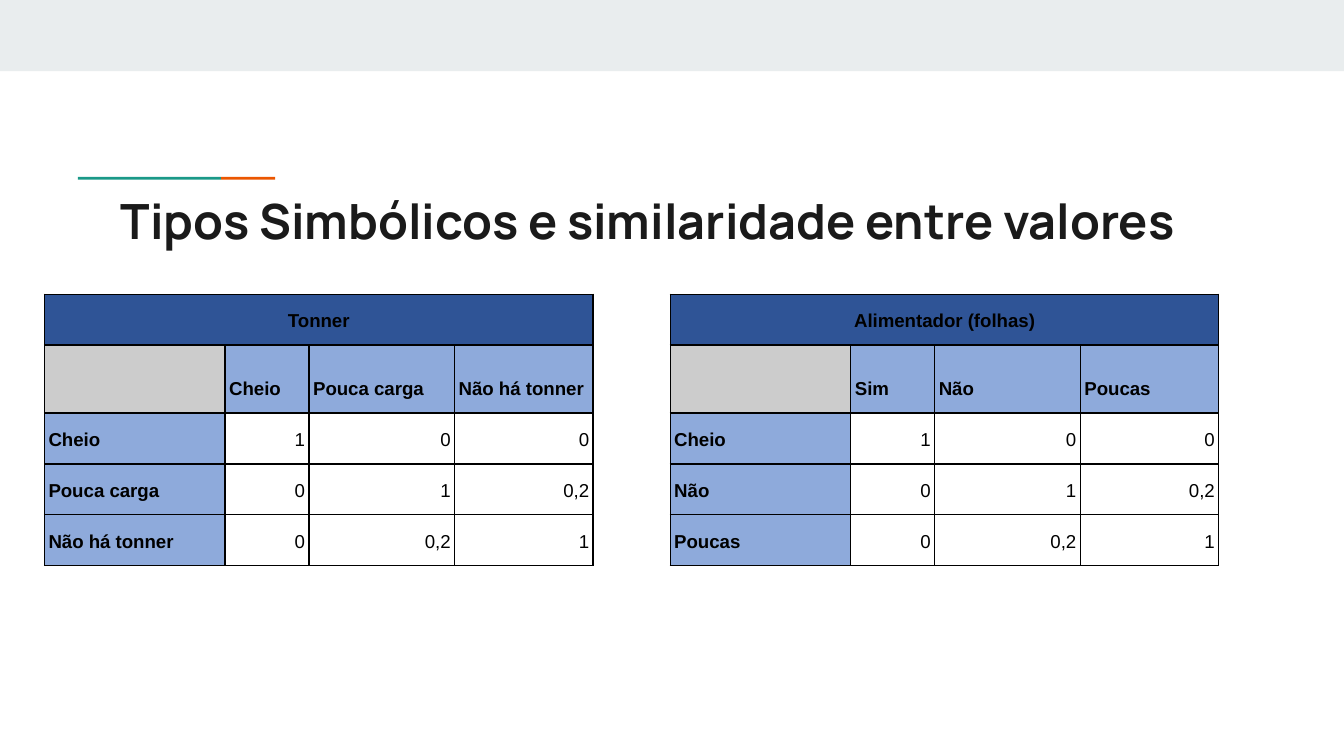
"""Build a slide with two tables of similarity between symbolic values."""
from lxml import etree
from pptx import Presentation
from pptx.dml.color import RGBColor
from pptx.enum.shapes import MSO_SHAPE
from pptx.enum.text import MSO_ANCHOR, PP_ALIGN
from pptx.oxml.ns import qn
from pptx.util import Pt

RECTANGLE = MSO_SHAPE.RECTANGLE
TOP, BOTTOM = MSO_ANCHOR.TOP, MSO_ANCHOR.BOTTOM
LEFT, CENTER, RIGHT = PP_ALIGN.LEFT, PP_ALIGN.CENTER, PP_ALIGN.RIGHT

HEADING = "Tipos Simbólicos e similaridade entre valores"
SIMILARITIES = [("1", "0", "0"), ("0", "1", "0,2"), ("0", "0,2", "1")]
MATRICES = [
    {
        "name": "Tonner",
        "columns": ["Cheio", "Pouca carga", "Não há tonner"],
        "rows": ["Cheio", "Pouca carga", "Não há tonner"],
        "left": 23.8,
    },
    {
        "name": "Alimentador (folhas)",
        "columns": ["Sim", "Não", "Poucas"],
        "rows": ["Cheio", "Não", "Poucas"],
        "left": 359,
    },
]

COLORS = {
    "band": "E9EDEE",
    "green": "1A9988",
    "orange": "EB5600",
    "heading": "1A1A1A",
    "name": "2F5496",
    "label": "8EAADB",
    "corner": "CCCCCC",
    "ink": "000000",
}
BARS = [
    ("band", 0, 0, 720, 38.2),
    ("green", 41.8, 94.8, 76.6, 1.5),
    ("orange", 118.4, 94.8, 29, 1.5),
]
MATRIX_TOP = 157.6
COLUMN_WIDTHS = [96.8, 45, 78, 74.2]
ROW_HEIGHTS = [27.2, 34.4, 27.2, 27.2, 27.2]
HEADING_BOX = {"left": Pt(57.6), "top": Pt(95), "width": Pt(605.5), "height": Pt(42.5)}
HEADING_FRAME = {
    "margin_left": Pt(7.2),
    "margin_top": Pt(7.2),
    "margin_right": Pt(7.2),
    "margin_bottom": Pt(7.2),
    "vertical_anchor": TOP,
    "word_wrap": True,
}
CELL_FORMAT = {
    "margin_left": Pt(2.2),
    "margin_top": Pt(7.2),
    "margin_right": Pt(2.2),
    "margin_bottom": Pt(7.2),
    "vertical_anchor": BOTTOM,
}
HEADING_FONT = {"name": "Manrope", "size": Pt(26), "bold": True}
CELL_FONT = {"name": "Arial", "size": Pt(10)}
PLAIN_STYLE = {"first_row": False, "horz_banding": False}


def apply(target, values):
    for attribute, value in values.items():
        setattr(target, attribute, value)


def rgb(role):
    return RGBColor.from_string(COLORS[role])


def write(paragraph, words, font_format, color, align):
    paragraph.alignment = align
    run = paragraph.add_run()
    run.text = words
    apply(run.font, font_format)
    run.font.color.rgb = rgb(color)


def add_borders(cell):
    properties = cell._tc.get_or_add_tcPr()
    for side in ("a:lnL", "a:lnR", "a:lnT", "a:lnB"):
        line = etree.SubElement(properties, qn(side), w=str(Pt(0.75)))
        fill = etree.SubElement(line, qn("a:solidFill"))
        etree.SubElement(fill, qn("a:srgbClr"), val=COLORS["ink"])


def cell_look(row, column):
    if row == 0:
        return "name", CENTER
    if row == 1 and column == 0:
        return "corner", LEFT
    if row == 1 or column == 0:
        return "label", LEFT
    return None, RIGHT


def add_matrix(slide, matrix):
    grid = [[matrix["name"], "", "", ""], ["", *matrix["columns"]]]
    grid += [[label, *values] for label, values in zip(matrix["rows"], SIMILARITIES)]
    table = slide.shapes.add_table(
        len(ROW_HEIGHTS), len(COLUMN_WIDTHS), Pt(matrix["left"]), Pt(MATRIX_TOP),
        Pt(sum(COLUMN_WIDTHS)), Pt(sum(ROW_HEIGHTS)),
    ).table
    apply(table, PLAIN_STYLE)
    for column, width in zip(table.columns, COLUMN_WIDTHS):
        column.width = Pt(width)
    for row, height in zip(table.rows, ROW_HEIGHTS):
        row.height = Pt(height)
    table.cell(0, 0).merge(table.cell(0, len(COLUMN_WIDTHS) - 1))

    for r, entries in enumerate(grid):
        for c, entry in enumerate(entries):
            cell = table.cell(r, c)
            role, align = cell_look(r, c)
            apply(cell, CELL_FORMAT)
            add_borders(cell)
            if role:
                cell.fill.solid()
                cell.fill.fore_color.rgb = rgb(role)
            else:
                cell.fill.background()
            if entry:
                paragraph = cell.text_frame.paragraphs[0]
                paragraph.line_spacing = 1.15
                write(paragraph, entry, {**CELL_FONT, "bold": bool(role)}, "ink", align)


def main():
    deck = Presentation()
    apply(deck, {"slide_width": Pt(720), "slide_height": Pt(405)})
    slide = deck.slides.add_slide(deck.slide_layouts.get_by_name("Title Only"))

    for role, *box in BARS:
        bar = slide.shapes.add_shape(RECTANGLE, *map(Pt, box))
        bar.shadow.inherit = False
        bar.fill.solid()
        bar.fill.fore_color.rgb = rgb(role)
        bar.line.fill.background()

    heading = slide.shapes.title
    apply(heading, HEADING_BOX)
    apply(heading.text_frame, HEADING_FRAME)
    write(heading.text_frame.paragraphs[0], HEADING, HEADING_FONT, "heading", LEFT)

    for matrix in MATRICES:
        add_matrix(slide, matrix)
    deck.save("out.pptx")


if __name__ == "__main__":
    main()
